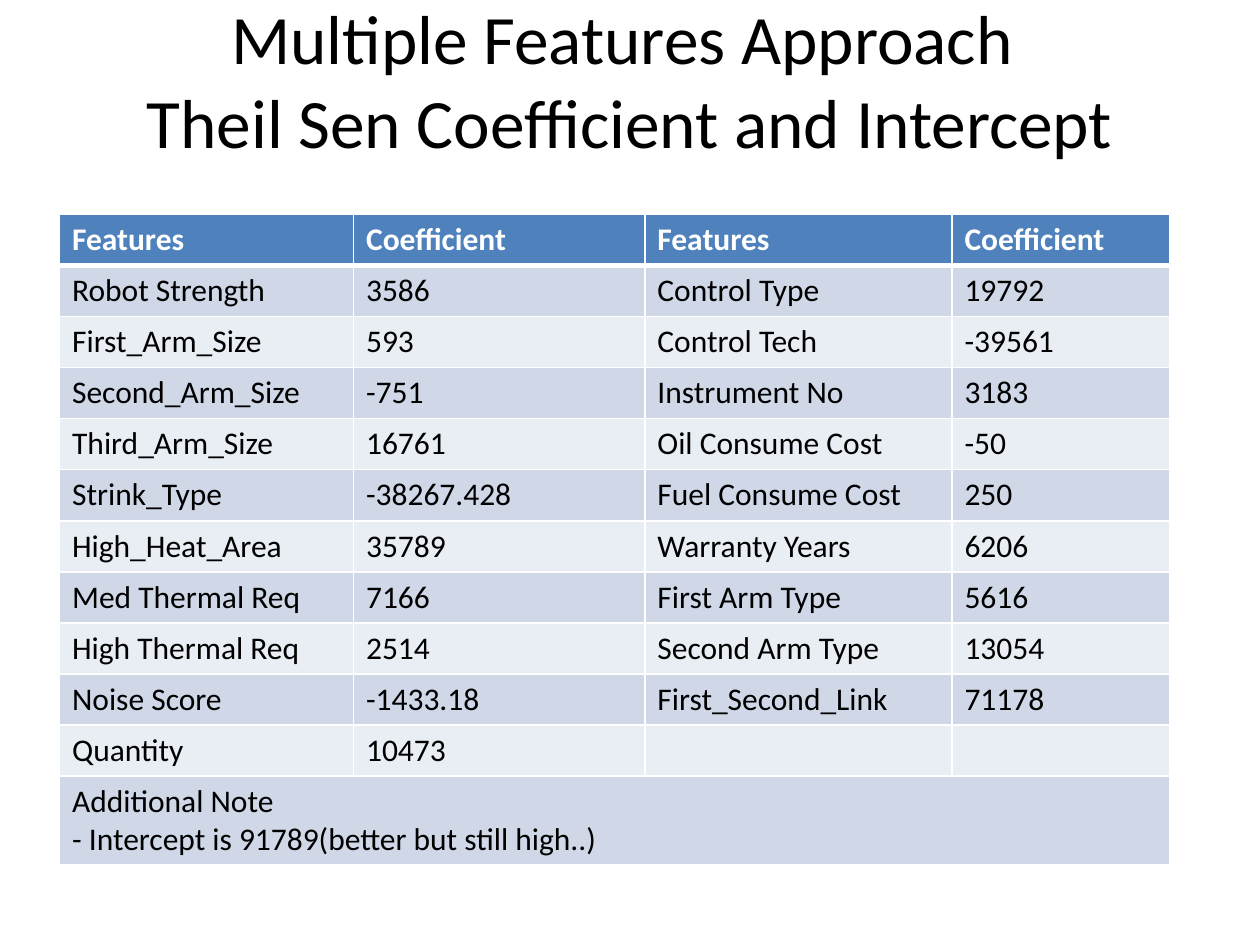
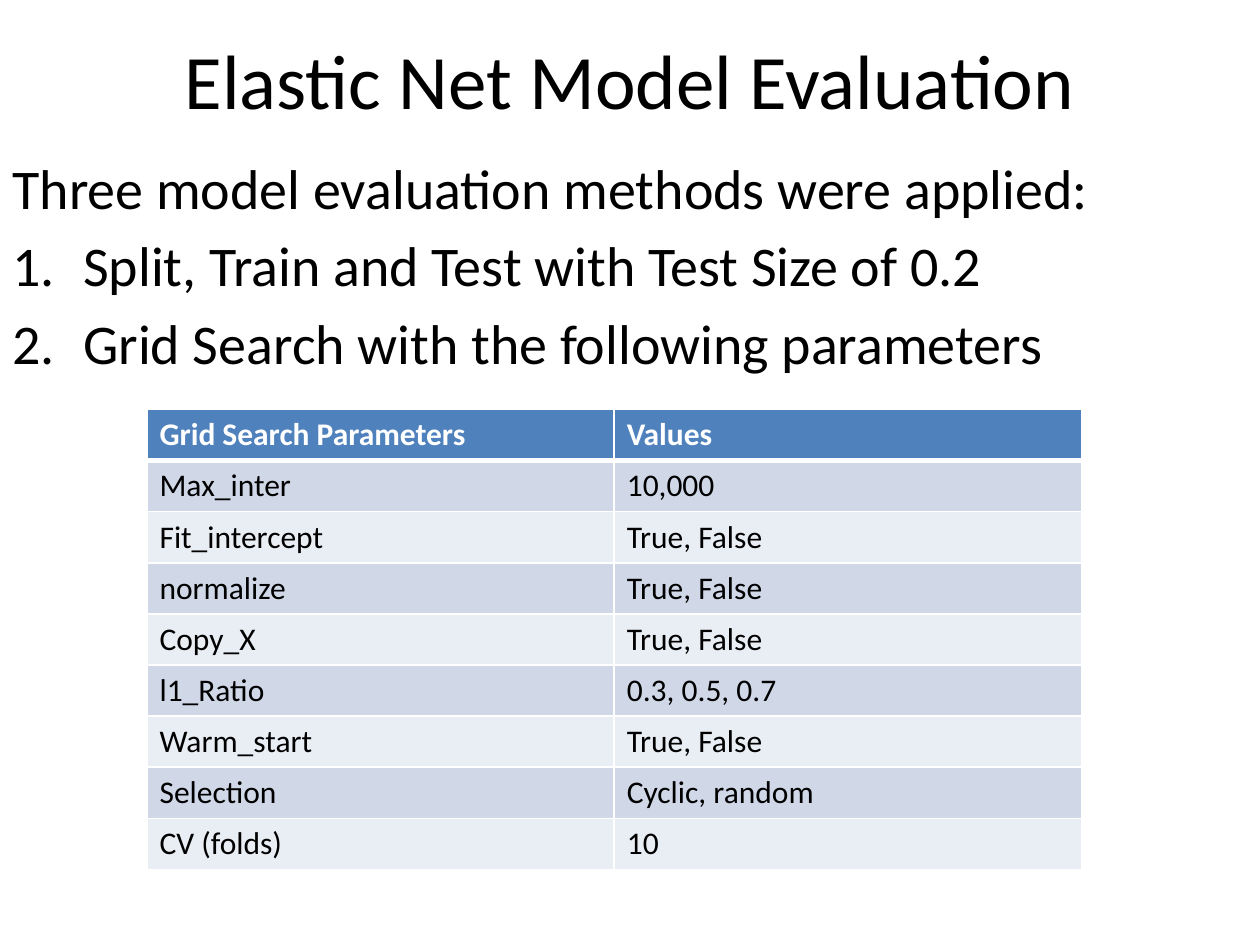
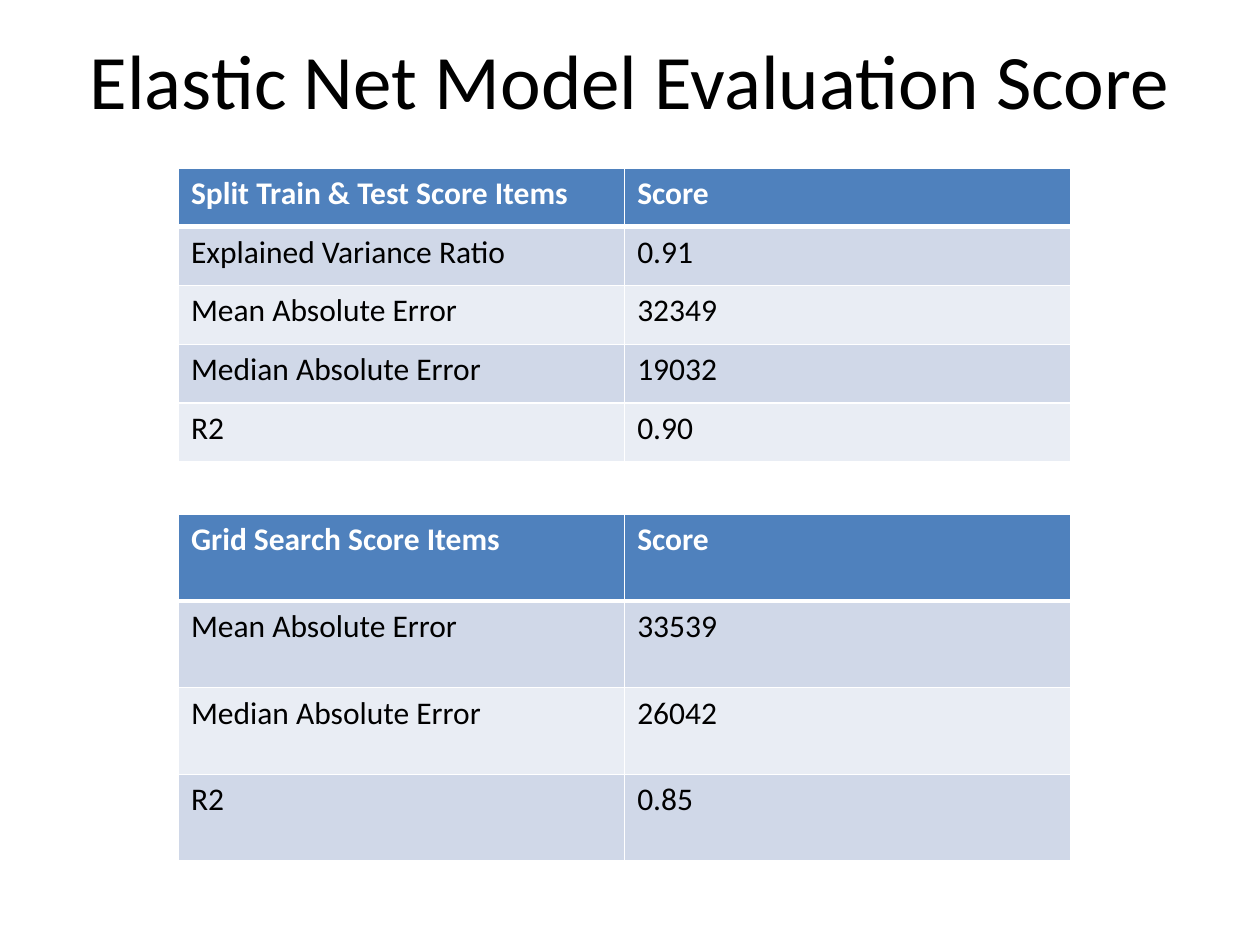
from dataclasses import dataclass

from lxml import etree
from pptx import Presentation
from pptx import util as u
from pptx.dml.color import RGBColor
from pptx.enum import text
from pptx.oxml import ns

WHITE = RGBColor(0xFF, 0xFF, 0xFF)
BLACK = RGBColor(0x00, 0x00, 0x00)
HEADER_BLUE = RGBColor(0x4F, 0x81, 0xBD)
BANDS = (RGBColor(0xE9, 0xED, 0xF4), RGBColor(0xD0, 0xD8, 0xE8))
FONT = "Calibri"

SLIDE_WIDTH, SLIDE_HEIGHT = u.Inches(10), u.Inches(7.5)
GRID_COLUMNS, GRID_ROWS = 120, 90
TITLE_ROWS = 15
LINE_ROW = 4.87
HEADER_RULE, CELL_RULE = 3, 1


@dataclass(frozen=True)
class Grid:
    left: float
    top: float
    columns: tuple[float, ...]
    rows: tuple[float, ...]
    cells: tuple[tuple[str, ...], ...]


COEFFICIENTS = Grid(
    5.67, 20.4, (28, 27.75, 29.25, 20.75), (LINE_ROW,) * 11 + (8.4,),
    (
        ("Features", "Coefficient", "Features", "Coefficient"),
        ("Robot Strength", "3586", "Control Type", "19792"),
        ("First_Arm_Size", "593", "Control Tech", "-39561"),
        ("Second_Arm_Size", "-751", "Instrument No", "3183"),
        ("Third_Arm_Size", "16761", "Oil Consume Cost", "-50"),
        ("Strink_Type", "-38267.428", "Fuel Consume Cost", "250"),
        ("High_Heat_Area", "35789", "Warranty Years", "6206"),
        ("Med Thermal Req", "7166", "First Arm Type", "5616"),
        ("High Thermal Req", "2514", "Second Arm Type", "13054"),
        ("Noise Score", "-1433.18", "First_Second_Link", "71178"),
        ("Quantity", "10473", "", ""),
        ("Additional Note\n- Intercept is 91789(better but still high..)",),
    ),
)

SEARCH_PARAMETERS = Grid(
    14, 39, (44.5,) * 2, (LINE_ROW,) * 9,
    (
        ("Grid Search Parameters", "Values"),
        ("Max_inter", "10,000"),
        ("Fit_intercept", "True, False"),
        ("normalize", "True, False"),
        ("Copy_X", "True, False"),
        ("l1_Ratio", "0.3, 0.5, 0.7"),
        ("Warm_start", "True, False"),
        ("Selection", "Cyclic, random"),
        ("CV (folds)", "10"),
    ),
)

SEARCH_SCORES = Grid(
    17, 49, (42.5,) * 2, (33 / 4,) * 4,
    (
        ("Grid Search Score Items", "Score"),
        ("Mean Absolute Error", "33539"),
        ("Median Absolute Error", "26042"),
        ("R2", "0.85"),
    ),
)

SPLIT_SCORES = Grid(
    17, 16, (42.5,) * 2, (28 / 5,) * 5,
    (
        ("Split Train & Test Score Items", "Score"),
        ("Explained Variance Ratio", "0.91"),
        ("Mean Absolute Error", "32349"),
        ("Median Absolute Error", "19032"),
        ("R2", "0.90"),
    ),
)

METHODS_INTRO = "Three model evaluation methods were applied:"
METHODS = (
    "Split, Train and Test with Test Size of 0.2",
    "Grid Search with the following parameters",
)


def across(columns: float) -> int:
    return round(SLIDE_WIDTH * columns / GRID_COLUMNS)


def down(rows: float) -> int:
    return round(SLIDE_HEIGHT * rows / GRID_ROWS)


def style_runs(frame, size: float, color: RGBColor = BLACK, bold: bool = False) -> None:
    for paragraph in frame.paragraphs:
        for run in paragraph.runs:
            run.font.name = FONT
            run.font.size = u.Pt(size)
            run.font.bold = bold
            run.font.color.rgb = color


def add_frame(slide, top: float, rows: float):
    box = slide.shapes.add_textbox(0, down(top), SLIDE_WIDTH, down(rows))
    box.text_frame.word_wrap = True
    return box.text_frame


def add_title(slide, title: str, size: float = 44) -> None:
    frame = add_frame(slide, 0, TITLE_ROWS)
    frame.vertical_anchor = text.MSO_ANCHOR.MIDDLE
    heading = frame.paragraphs[0]
    heading.text = title
    heading.alignment = text.PP_ALIGN.CENTER
    style_runs(frame, size)


def add_methods(slide) -> None:
    frame = add_frame(slide, 14, 76)
    frame.text = METHODS_INTRO
    indent = across(6.75)
    for method in METHODS:
        item = frame.add_paragraph()
        item.text = method
        item.space_before = u.Pt(6)
        properties = item._p.get_or_add_pPr()
        properties.set("marL", str(indent))
        properties.set("indent", str(-indent))
        etree.SubElement(properties, ns.qn("a:buAutoNum"), type="arabicPeriod")
    style_runs(frame, 32)


def add_borders(cell, top: float, bottom: float) -> None:
    properties = cell._tc.get_or_add_tcPr()
    widths = {"L": CELL_RULE, "R": CELL_RULE, "T": top, "B": bottom}
    for side, width in widths.items():
        line = etree.SubElement(properties, ns.qn(f"a:ln{side}"), w=str(u.Pt(width)))
        fill = etree.SubElement(line, ns.qn("a:solidFill"))
        etree.SubElement(fill, ns.qn("a:srgbClr"), val=str(WHITE))


def add_grid(slide, grid: Grid) -> None:
    table = slide.shapes.add_table(
        len(grid.rows), len(grid.columns), across(grid.left), down(grid.top),
        across(sum(grid.columns)), down(sum(grid.rows)),
    ).table
    for column, width in zip(table.columns, grid.columns):
        column.width = across(width)
    for index, (row, height, values) in enumerate(zip(table.rows, grid.rows, grid.cells)):
        row.height = down(height)
        header = index == 0
        for cell in row.cells:
            add_borders(
                cell,
                HEADER_RULE if index == 1 else CELL_RULE,
                HEADER_RULE if header else CELL_RULE,
            )
            cell.fill.solid()
            cell.fill.fore_color.rgb = HEADER_BLUE if header else BANDS[index % 2]
        if len(values) == 1:
            table.cell(index, 0).merge(table.cell(index, len(grid.columns) - 1))
        for cell, value in zip(row.cells, values):
            cell.text_frame.text = value
            style_runs(cell.text_frame, 18, WHITE if header else BLACK, header)


def main() -> None:
    deck = Presentation()
    deck.slide_width, deck.slide_height = SLIDE_WIDTH, SLIDE_HEIGHT
    blank = deck.slide_layouts[6]

    coefficients = deck.slides.add_slide(blank)
    add_title(
        coefficients,
        "Multiple Features Approach \nTheil Sen Coefficient and Intercept",
        39.6,
    )
    add_grid(coefficients, COEFFICIENTS)

    evaluation = deck.slides.add_slide(blank)
    add_title(evaluation, "Elastic Net Model Evaluation")
    add_methods(evaluation)
    add_grid(evaluation, SEARCH_PARAMETERS)

    scores = deck.slides.add_slide(blank)
    add_title(scores, "Elastic Net Model Evaluation Score")
    add_grid(scores, SEARCH_SCORES)
    add_grid(scores, SPLIT_SCORES)

    deck.save("out.pptx")


if __name__ == "__main__":
    main()
